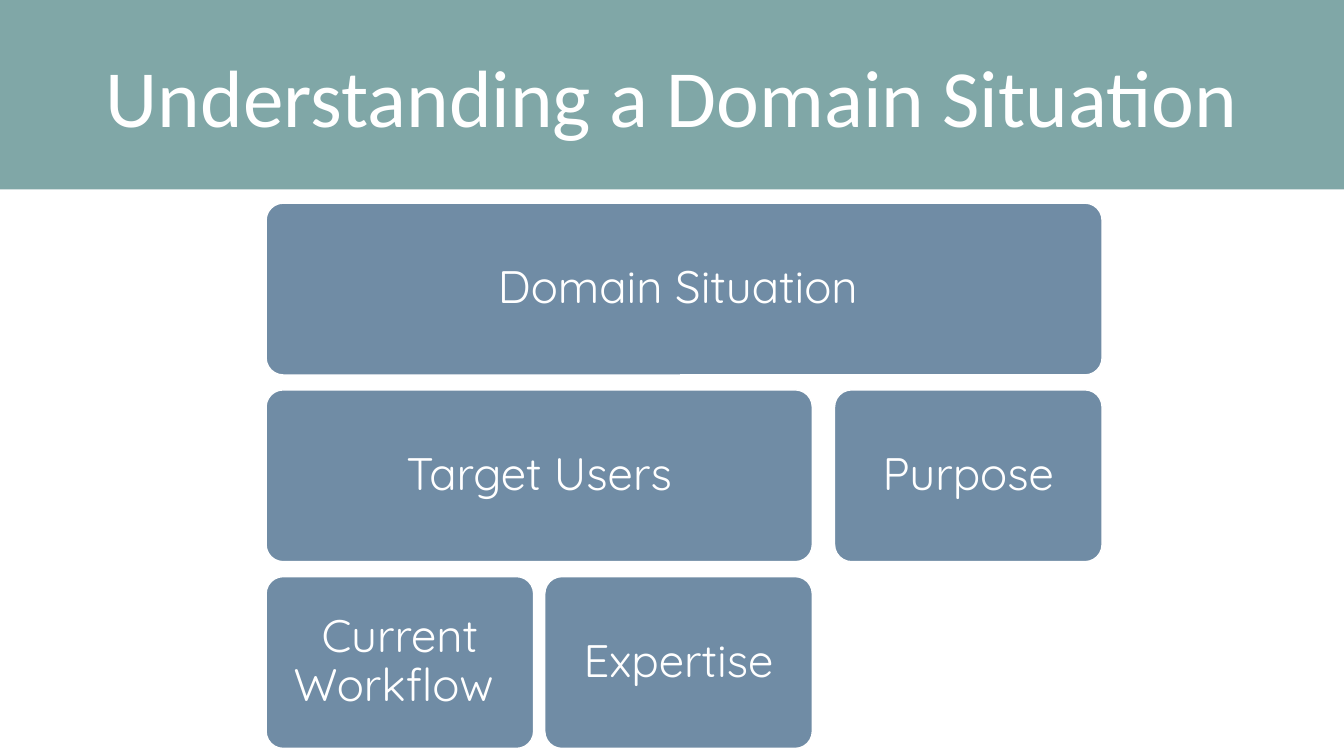
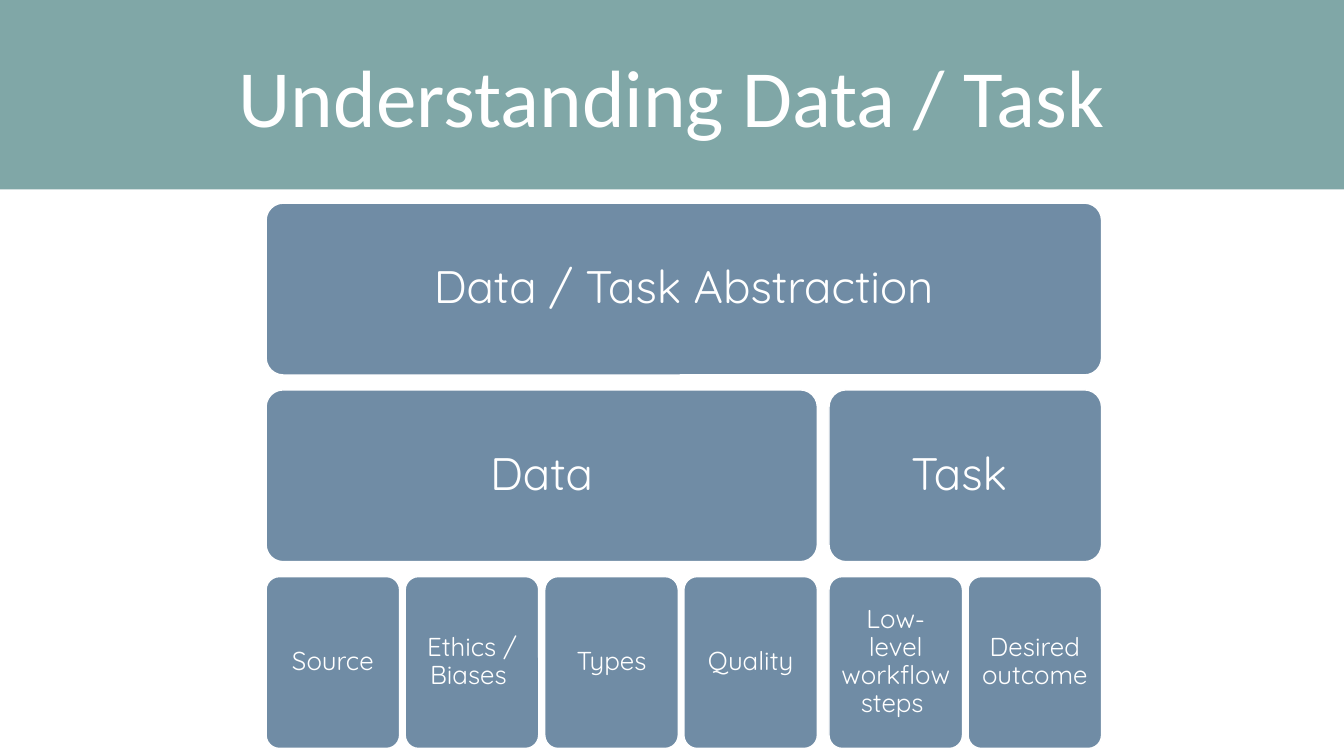
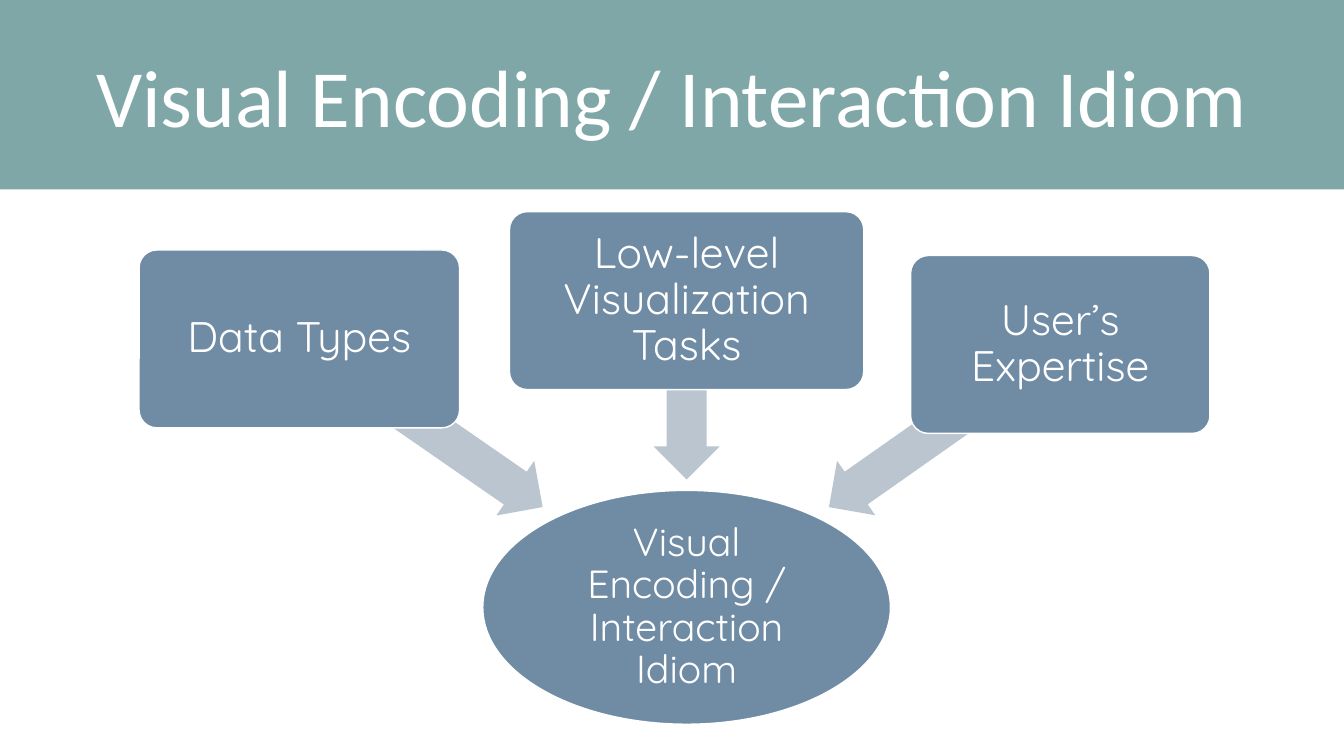
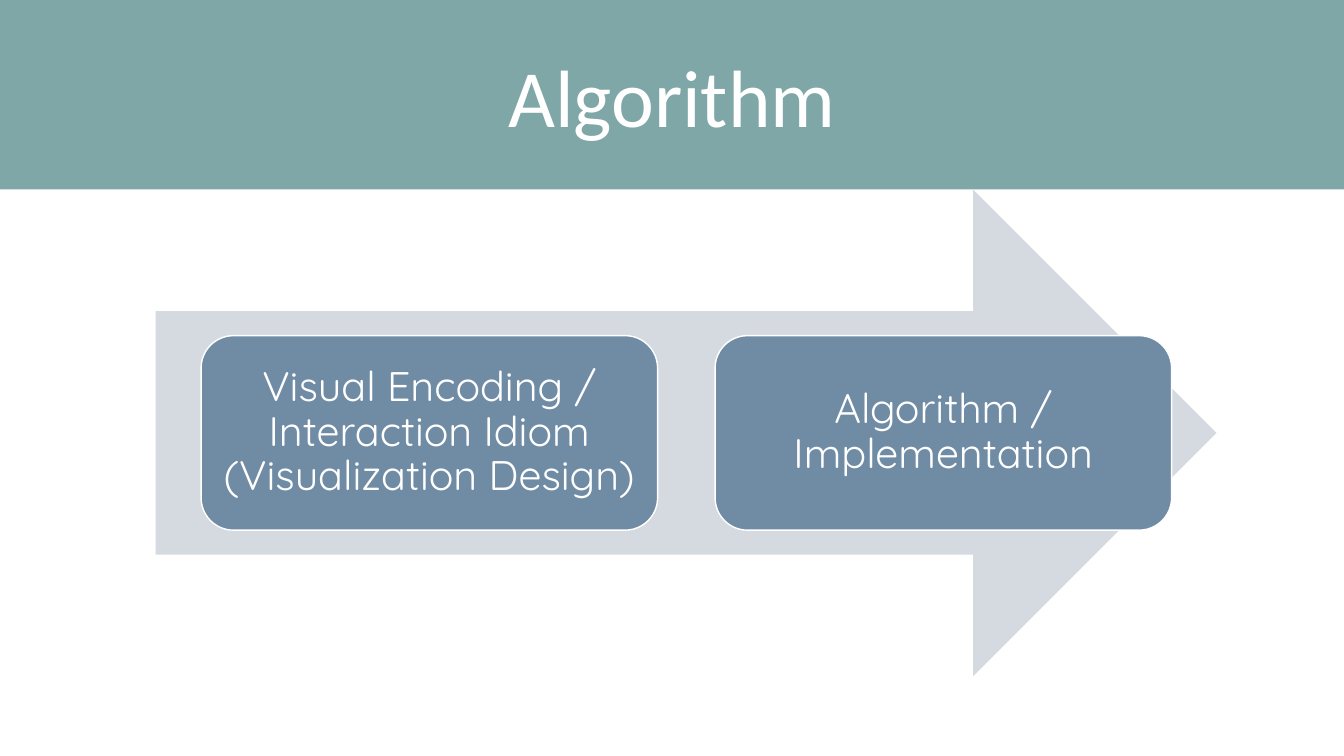
from pptx import Presentation
from pptx.dml.color import RGBColor
from pptx.enum import shapes, text
from pptx.util import Inches, Pt

KIND = shapes.MSO_SHAPE
WHITE, TEAL, BLUE = "FFFFFF", "80A7A7", "708CA5"
ARROW, PALE = "BBC5CF", "D5DAE1"
WIDTH, HEIGHT, BAND = 26.67, 15, 3.76


def color(code):
    return RGBColor.from_string(code)


class Deck:
    def __init__(self):
        self.prs = Presentation()
        self.prs.slide_width = Inches(WIDTH)
        self.prs.slide_height = Inches(HEIGHT)
        self.slide = None

    def label(self, shape, words, font, size, inset):
        """Put one centred white paragraph in the shape."""
        frame = shape.text_frame
        frame.text = words
        frame.word_wrap = True
        frame.auto_size = text.MSO_AUTO_SIZE.NONE
        frame.vertical_anchor = text.MSO_ANCHOR.MIDDLE
        frame.margin_left = frame.margin_right = Inches(inset)
        frame.margin_top = frame.margin_bottom = Inches(inset)
        para = frame.paragraphs[0]
        para.alignment = text.PP_ALIGN.CENTER
        para.font.name = font
        para.font.size = Pt(size)
        para.font.color.rgb = color(WHITE)
        return para

    def page(self, title):
        """Start a slide whose title fills the top band."""
        self.slide = self.prs.slides.add_slide(self.prs.slide_layouts[5])
        band = self.slide.shapes.title
        band.left = band.top = 0
        band.width, band.height = Inches(WIDTH), Inches(BAND)
        band.fill.solid()
        band.fill.fore_color.rgb = color(TEAL)
        self.label(band, title, "Calibri", 116, 0.06)

    def shape(self, kind, box, fill, adjust=()):
        item = self.slide.shapes.add_shape(kind, *map(Inches, box))
        item.shadow.inherit = False
        item.fill.solid()
        item.fill.fore_color.rgb = color(fill)
        item.line.fill.background()
        for i, value in enumerate(adjust):
            item.adjustments[i] = value
        return item

    def node(self, words, box, size, inset, kind=KIND.ROUNDED_RECTANGLE, adjust=()):
        """Add a labelled blue shape with a white outline."""
        item = self.shape(kind, box, BLUE, adjust)
        item.line.color.rgb = color(WHITE)
        item.line.width = Pt(2)
        self.label(item, words, "Quicksand", size, inset).line_spacing = 0.9

    def arrow(self, box, angle):
        item = self.shape(KIND.LEFT_ARROW, box, ARROW, (0.6, 0.5))
        item.rotation = angle

    def tree(self, lefts, leaf, cards):
        """Add cards given as words, row, first and last column, size, inset."""
        top, step, height = 4.03, 3.705, 3.41
        for words, row, first, last, size, inset in cards:
            width = lefts[last] + leaf - lefts[first]
            box = lefts[first], top + row * step, width, height
            self.node(words, box, size, inset, adjust=(0.1,))


def domain(deck):
    deck.page("Understanding a Domain Situation")
    big = 65, 0.27
    deck.tree([5.28, 10.81, 16.56], 5.31, [
        ("Domain Situation ", 0, 0, 2, *big),
        ("Target Users", 1, 0, 1, *big),
        ("Current Workflow ", 2, 0, 0, *big),
        ("Expertise", 2, 1, 1, *big),
        ("Purpose", 1, 2, 2, *big),
    ])


def data(deck):
    deck.page("Understanding Data / Task")
    big, small = (65, 0.27), (37, 0.15)
    lefts = [5.28, 8.04, 10.81, 13.57, 16.45, 19.21]
    leaves = ["Source", "Ethics / Biases ", "Types", "Quality",
              "Low-level workflow steps ", "Desired outcome"]
    deck.tree(lefts, 2.65, [
        ("Data / Task Abstraction", 0, 0, 5, *big),
        ("Data", 1, 0, 3, *big),
        ("Task ", 1, 4, 5, *big),
        *((words, 2, i, i, *small) for i, words in enumerate(leaves)),
    ])


def idiom(deck):
    deck.page("Visual Encoding / Interaction Idiom")
    deck.node("Visual Encoding / Interaction Idiom", (9.58, 9.73, 8.09, 4.64),
              56, 0.04, KIND.OVAL)
    inputs = [
        ("Data Types", (2.76, 4.96, 6.36), (5.42, 7.73, 5.87), 214.7),
        ("Low-level Visualization Tasks", (10.11, 4.2, 7.03), (11.85, 7.08, 3.55), 270),
        ("User’s Expertise", (18.07, 5.07, 5.94), (15.94, 7.79, 5.61), 324.9),
    ]
    for words, box, shaft, angle in inputs:
        deck.arrow((*shaft, 1.32), angle)
        deck.node(words, (*box, 3.53), 61, 0.13, adjust=(0.1,))


def method(deck):
    deck.page("Algorithm")
    deck.shape(KIND.RIGHT_ARROW, (3.09, BAND, 21.05, 9.66), PALE)
    steps = ["Visual Encoding / Interaction Idiom (Visualization Design)",
             "Algorithm / Implementation"]
    for i, words in enumerate(steps):
        deck.node(words, (3.99 + i * 10.2, 6.66, 9.06, 3.86), 59, 0.25)


def main():
    deck = Deck()
    for build in (domain, data, idiom, method):
        build(deck)
    deck.prs.save("out.pptx")


if __name__ == "__main__":
    main()
